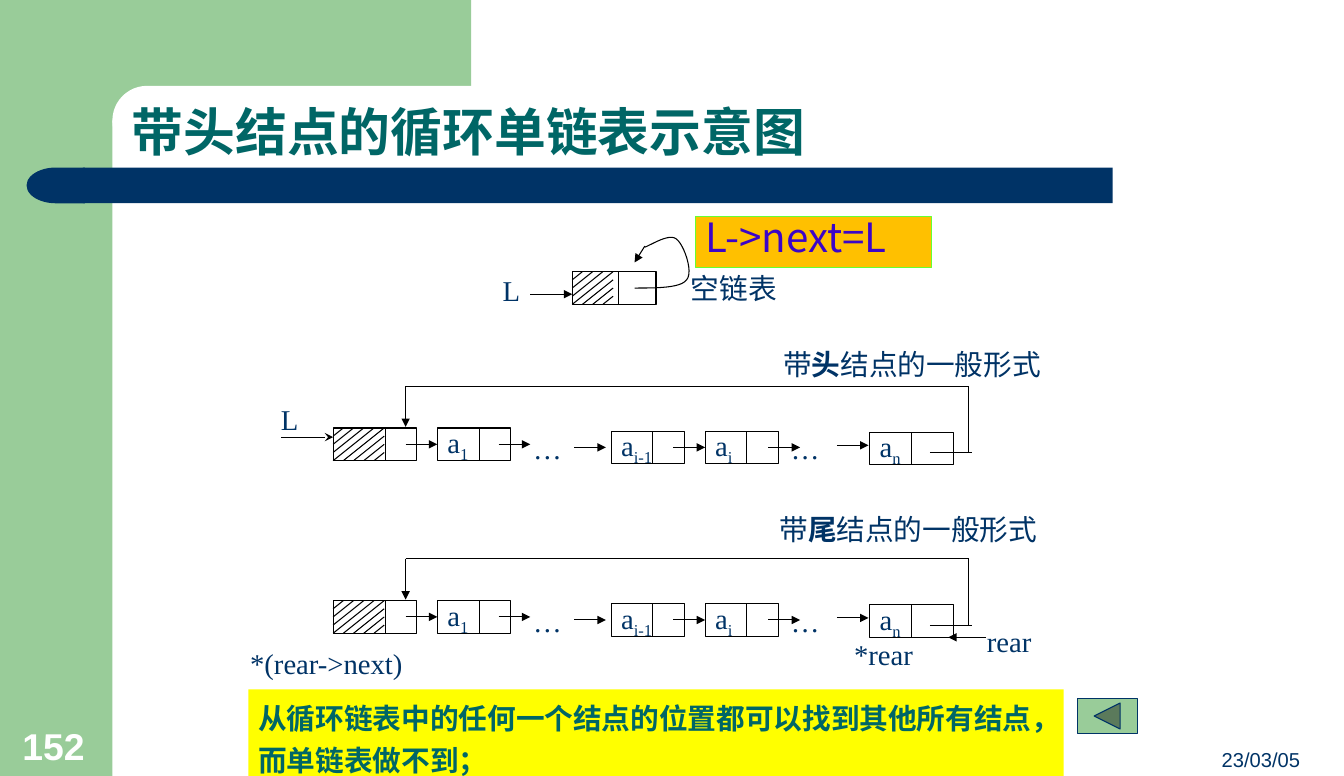
"""Builds the slide on circular singly linked lists with a head node."""
from dataclasses import dataclass, field
from typing import Optional

from lxml.etree import SubElement
from pptx import Presentation
from pptx.dml.color import RGBColor
from pptx.enum.shapes import MSO_CONNECTOR as Link, MSO_SHAPE as Form
from pptx.enum.text import MSO_ANCHOR as Anchor, PP_ALIGN as Align
from pptx.oxml.ns import qn
from pptx.util import Inches, Pt

NAVY, TEAL, GREEN, WHITE, BLACK = "003366", "006666", "99CC99", "FFFFFF", "000000"
SERIF, SANS, ARIAL = "Times New Roman", "Noto Sans CJK SC", "Arial"
COLUMN, ROW, HEIGHT = 0.1, 0.08, 0.32


@dataclass
class Span:
    text: str
    bold: bool = False
    subscript: bool = False
    size: Optional[float] = None


@dataclass
class Box:
    left: float
    top: float
    width: float
    height: float
    form: Optional[Form] = None
    fill: Optional[str] = None
    line: Optional[str] = None
    spans: list[Span] = field(default_factory=list)
    size: float = 20.2
    font: str = SERIF
    color: str = NAVY
    align: Align = Align.LEFT
    anchor: Anchor = Anchor.MIDDLE
    spacing: float = 1.0


@dataclass
class Line:
    x1: float
    y1: float
    x2: float
    y2: float
    arrow: str = ""


def rgb(value: str) -> RGBColor:
    return RGBColor.from_string(value)


def write(shape, box: Box) -> None:
    frame = shape.text_frame
    for name, value in {"word_wrap": True, "vertical_anchor": box.anchor}.items():
        setattr(frame, name, value)
    para = frame.paragraphs[0]
    for name, value in {"alignment": box.align, "line_spacing": box.spacing}.items():
        setattr(para, name, value)
    for span in box.spans:
        run = para.add_run()
        run.text = span.text
        formats = {"name": box.font, "size": Pt(span.size or box.size), "bold": span.bold}
        for name, value in formats.items():
            setattr(run.font, name, value)
        run.font.color.rgb = rgb(box.color)
        properties = run.font._element
        SubElement(properties, qn("a:ea"), typeface=SANS)
        if span.subscript:
            properties.set("baseline", "-25000")


def draw_box(page, box: Box):
    area = [Inches(value) for value in (box.left, box.top, box.width, box.height)]
    if box.form is None:
        shape = page.shapes.add_textbox(*area)
    else:
        shape = page.shapes.add_shape(box.form, *area)
        shape.shadow.inherit = False
        if box.fill:
            shape.fill.solid()
            shape.fill.fore_color.rgb = rgb(box.fill)
        if box.line:
            shape.line.color.rgb = rgb(box.line)
            shape.line.width = Pt(0.75)
        else:
            shape.line.fill.background()
    if box.spans:
        write(shape, box)
    return shape


def draw_line(page, line: Line, target=None) -> None:
    ends = [Inches(value) for value in (line.x1, line.y1, line.x2, line.y2)]
    link = page.shapes.add_connector(Link.STRAIGHT, *ends)
    if target is not None:
        link.end_connect(target, 1)
    link.line.color.rgb = rgb(BLACK)
    link.line.width = Pt(0.75)
    if line.arrow:
        SubElement(link.line._get_or_add_ln(), qn("a:tailEnd"), type=line.arrow)
    SubElement(link._element.spPr, qn("a:effectLst"))


def draw_node(page, left: float, top: float, width: float, divider: float, index: str = ""):
    spans = [Span("a"), Span(index, subscript=True)] if index else []
    node = draw_box(page, Box(left, top, width, HEIGHT, Form.RECTANGLE, WHITE, BLACK, spans))
    draw_line(page, Line(left + divider, top, left + divider, top + HEIGHT))
    return node


def draw_hatching(page, left: float, top: float, columns: int, rows: int = 4) -> None:
    for step in range(1, columns + rows):
        draw_line(page, Line(left + COLUMN * min(step, columns), top + ROW * max(0, step - columns),
                             left + COLUMN * max(0, step - rows), top + ROW * min(step, rows)))


def draw_list(page, top: float) -> None:
    draw_node(page, 3.26, top, 0.82, 0.51)
    draw_hatching(page, 3.26, top, 5)
    first = draw_node(page, 4.28, top, 0.72, 0.41, "1")
    draw_node(page, 5.98, top + 0.03, 0.72, 0.41, "i-1")
    current = draw_node(page, 6.9, top + 0.03, 0.72, 0.41, "i")
    draw_node(page, 8.51, top + 0.04, 0.82, 0.41, "n")
    for left in (5.12, 7.64):
        draw_box(page, Box(left, top + 0.04, 0.61, HEIGHT, spans=[Span("…")]))
    for start, drop, target in ((3.97, 0.16, first), (4.88, 0.16, None), (5.62, 0.19, None),
                                (6.59, 0.19, current), (7.52, 0.19, None), (8.19, 0.17, None)):
        draw_line(page, Line(start, top + drop, start + 0.31, top + drop, "triangle"), target)
    roof = top - 0.41
    for line in (Line(9.1, top + 0.24, 9.51, top + 0.24), Line(9.48, roof, 9.48, top + 0.25),
                 Line(3.97, roof, 9.48, roof), Line(3.97, roof, 3.97, top - 0.01, "triangle")):
        draw_line(page, line)


def bezier(points: list[tuple[float, float]], steps: int = 12) -> list[tuple[float, float]]:
    curve = []
    for step in range(1, steps + 1):
        t = step / steps
        weights = ((1 - t) ** 3, 3 * t * (1 - t) ** 2, 3 * t * t * (1 - t), t ** 3)
        curve.append(tuple(Inches(sum(weight * point[axis] for weight, point in zip(weights, points)))
                           for axis in (0, 1)))
    return curve


def draw_empty_list(page) -> None:
    draw_node(page, 5.6, 2.66, 0.82, 0.45)
    draw_hatching(page, 5.6, 2.66, 4)
    draw_line(page, Line(5.19, 2.88, 5.6, 2.88, "triangle"))
    draw_line(page, Line(6.31, 2.41, 6.21, 2.57, "triangle"))
    loop = [(6.21, 2.82), (6.43, 2.82), (6.66, 2.82), (6.72, 2.74), (6.79, 2.66),
            (6.69, 2.39), (6.62, 2.34), (6.55, 2.28), (6.37, 2.4), (6.31, 2.42)]
    builder = page.shapes.build_freeform(Inches(6.21), Inches(2.82))
    for start in range(0, 9, 3):
        builder.add_line_segments(bezier(loop[start:start + 4]), close=False)
    shape = builder.convert_to_shape()
    shape.shadow.inherit = False
    shape.fill.background()
    shape.line.color.rgb = rgb(BLACK)
    shape.line.width = Pt(0.75)


def main() -> None:
    deck = Presentation()
    deck.slide_width, deck.slide_height = Inches(947 / 72), Inches(547 / 72)
    page = deck.slides.add_slide(deck.slide_layouts[6])
    draw_box(page, Box(0, 0, 1.1, 7.6, Form.RECTANGLE, GREEN))
    draw_box(page, Box(0.99, 0, 3.62, 1.18, Form.RECTANGLE, GREEN))
    panel = draw_box(page, Box(1.1, 0.84, 7.34, 0.68, Form.ROUNDED_RECTANGLE, WHITE))
    panel.adjustments[0] = 0.5
    draw_box(page, Box(0.81, 1.64, 10.08, 0.35, Form.RECTANGLE, NAVY))
    cap = draw_box(page, Box(0.26, 1.64, 0.57, 0.35, Form.FLOWCHART_DELAY, NAVY))
    cap.rotation = 180

    draw_empty_list(page)
    for top in (4.19, 5.88):
        draw_list(page, top)
    draw_line(page, Line(2.75, 4.28, 3.26, 4.28, "stealth"))
    draw_line(page, Line(9.65, 6.24, 9.28, 6.24, "triangle"))
    for word, top, width, align in (("头", 3.29, 2.79, Align.CENTER), ("尾", 4.91, 2.95, Align.LEFT)):
        caption = [Span("带"), Span(word, True), Span("结点的一般形式"), Span(" ", size=24.3)]
        draw_box(page, Box(7.53, top, width, 0.52, spans=caption, font=SANS, align=align, anchor=Anchor.TOP))

    for box in (
        Box(10.08, 7.26, 2.74, 0.34, spans=[Span("23/03/05")], size=14.2, font=ARIAL,
            align=Align.RIGHT, anchor=Anchor.BOTTOM),
        Box(0.12, 7.03, 0.84, 0.54, spans=[Span("152", True)], size=26.3, font=ARIAL,
            color=WHITE, anchor=Anchor.BOTTOM),
        Box(1.19, 0.37, 11.51, 1.27, spans=[Span("带头结点的循环单链表示意图", True)], size=36.5,
            font=SANS, color=TEAL, anchor=Anchor.BOTTOM, spacing=0.9),
        Box(4.82, 2.66, 0.36, 0.36, spans=[Span("L")], align=Align.RIGHT),
        Box(2.65, 3.93, 0.38, 0.34, spans=[Span("L")]),
        Box(9.56, 6.11, 0.72, 0.34, spans=[Span("rear")]),
        Box(2.35, 6.24, 1.87, 0.51, spans=[Span("*(rear->next)")]),
        Box(8.26, 6.23, 1.01, 0.34, spans=[Span("*rear")]),
        Box(6.42, 2.6, 1.52, 0.45, spans=[Span("空链表")], align=Align.CENTER, anchor=Anchor.TOP),
        Box(10.54, 6.84, 0.59, 0.34, Form.ACTION_BUTTON_BACK_OR_PREVIOUS, GREEN, NAVY),
        Box(6.81, 2.12, 2.31, 0.5, Form.RECTANGLE, "FFC000", "66FF33", [Span("L->next=L")],
            28.4, SANS, "3C05C7", anchor=Anchor.TOP, spacing=0.8),
        Box(2.43, 6.75, 7.98, 0.9, Form.RECTANGLE, "FFFF00", color=TEAL, anchor=Anchor.TOP, spacing=1.2,
            spans=[Span("从循环链表中的任何一个结点的位置都可以找到其他所有结点，而单链表做不到；", True)]),
    ):
        draw_box(page, box)
    deck.save("out.pptx")


if __name__ == "__main__":
    main()
